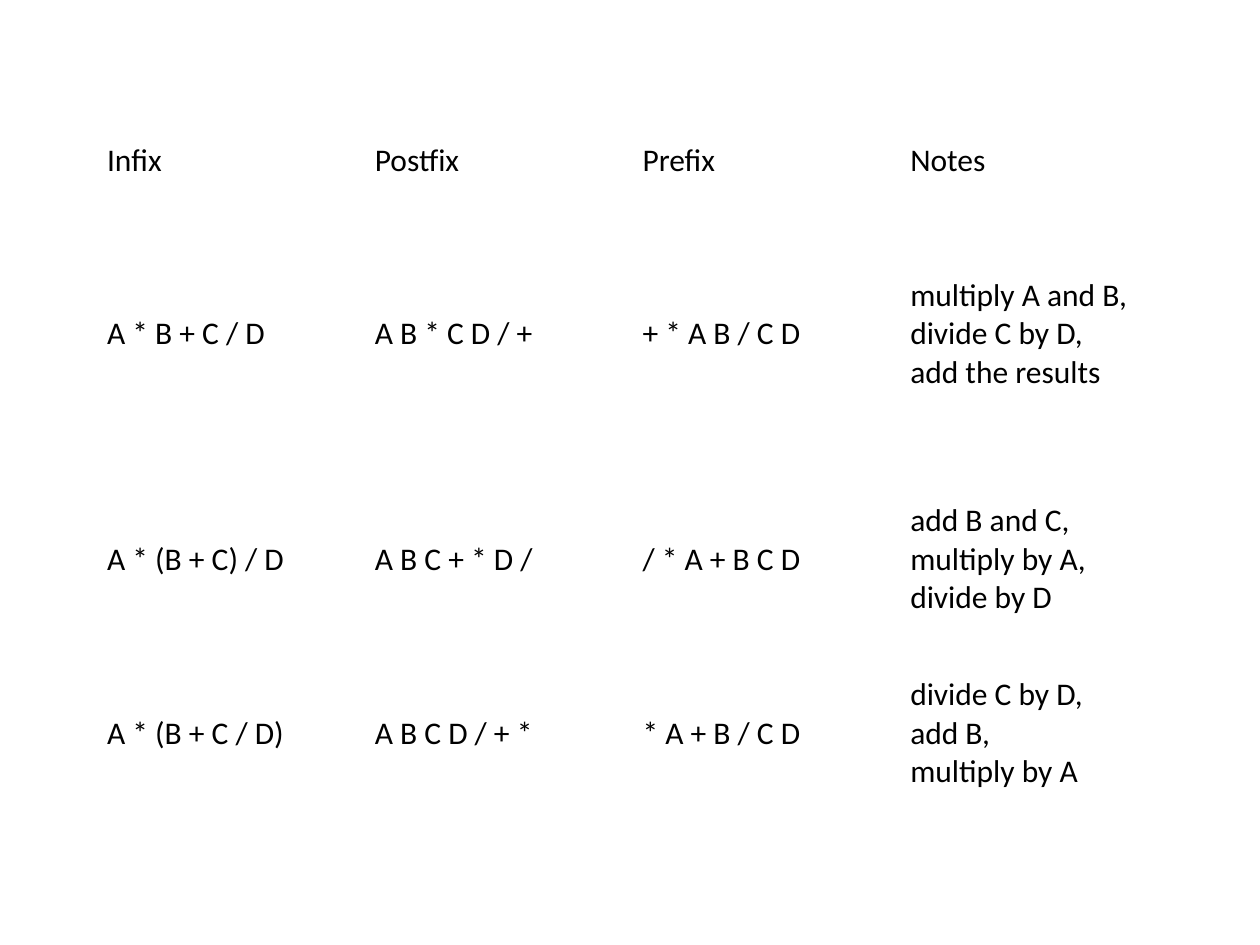
from typing import NamedTuple

from pptx import Presentation
from pptx import util as u
from pptx.dml.color import RGBColor
from pptx.enum import text


class Expression(NamedTuple):
    infix: str
    postfix: str
    prefix: str
    notes: str


ROWS = [
    Expression("Infix", "Postfix", "Prefix", "Notes"),
    Expression("A * B + C / D", "A B * C D / +", "+ * A B / C D",
               "multiply A and B,\ndivide C by D,\nadd the results"),
    Expression("A * (B + C) / D", "A B C + * D /", "/ * A + B C D",
               "add B and C,\nmultiply by A,\ndivide by D"),
    Expression("A * (B + C / D)", "A B C D / + *", "* A + B / C D",
               "divide C by D,\nadd B,\nmultiply by A"),
]
ROW_HEIGHTS = [0.55, 2.2, 1.38, 1.38]
TABLE_WIDTH = 8.5


def colour(value: str) -> RGBColor:
    return RGBColor.from_string(value)


def fill_cell(cell, wording: str) -> None:
    cell.fill.background()
    cell.vertical_anchor = text.MSO_ANCHOR.MIDDLE
    para = cell.text_frame.paragraphs[0]
    para.text = wording  # a newline becomes a line break
    for span in para.runs:
        span.font.name = "Calibri"
        span.font.size = u.Pt(18)
        span.font.color.rgb = colour("000000")


def add_notation_table(page) -> None:
    columns = len(Expression._fields)
    table = page.shapes.add_table(
        len(ROWS), columns, u.Inches(0.75), u.Inches(1),
        u.Inches(TABLE_WIDTH), u.Inches(sum(ROW_HEIGHTS))).table
    table.first_row = False
    table.horz_banding = False
    for column in table.columns:
        column.width = u.Inches(TABLE_WIDTH / columns)
    for row, height, expression in zip(table.rows, ROW_HEIGHTS, ROWS):
        row.height = u.Inches(height)
        for cell, wording in zip(row.cells, expression):
            fill_cell(cell, wording)


def main() -> None:
    deck = Presentation()
    deck.slide_width = u.Inches(10)
    deck.slide_height = u.Inches(7.5)
    page = deck.slides.add_slide(deck.slide_layouts[6])
    page.background.fill.solid()
    page.background.fill.fore_color.rgb = colour("FFFFFF")
    add_notation_table(page)
    deck.save("out.pptx")


if __name__ == "__main__":
    main()
